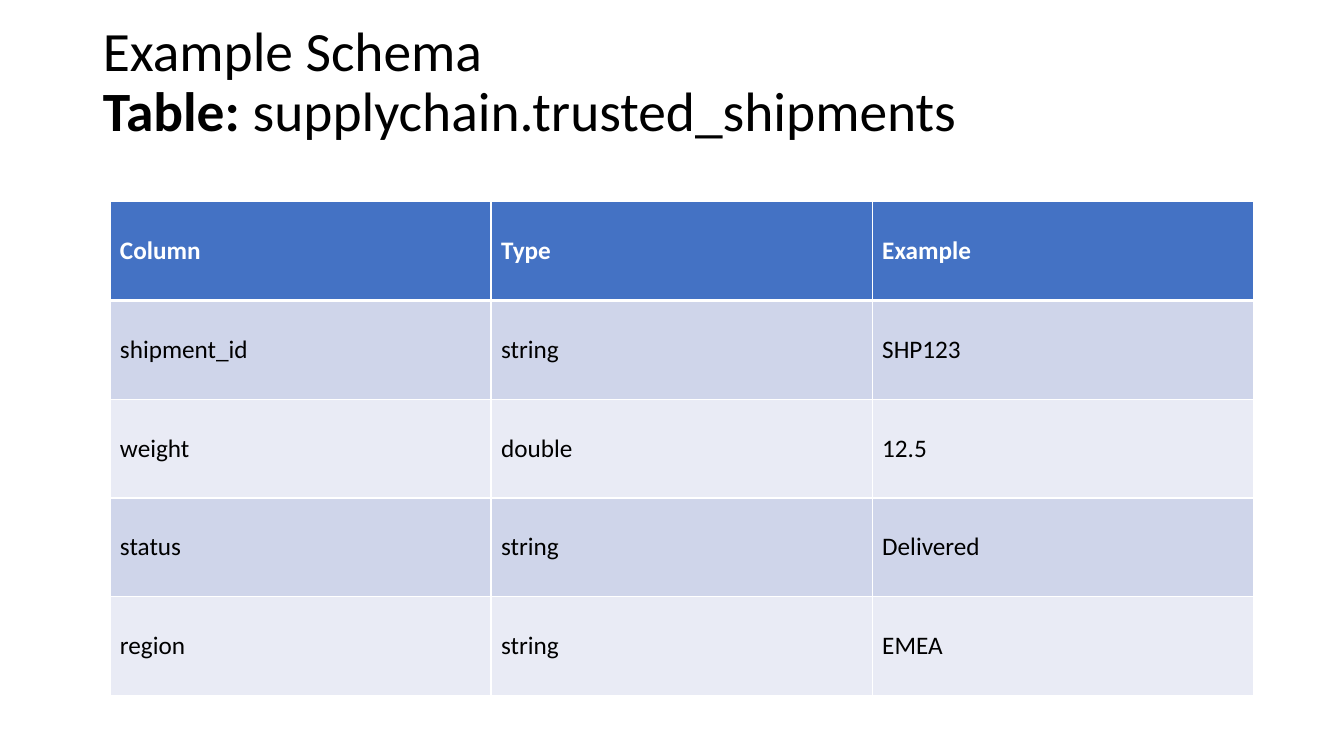
from lxml.etree import SubElement
from pptx import Presentation
from pptx.dml.color import RGBColor
from pptx.enum.text import MSO_ANCHOR, MSO_AUTO_SIZE, PP_ALIGN
from pptx.oxml.ns import qn
from pptx.util import Inches, Pt

FONT = "Calibri"
COLORS = {"head": "4472C4", "odd": "CFD5EA", "even": "E9EBF5",
          "text": "000000", "line": "FFFFFF"}
TITLE = [[("Example Schema", False)],
         [("Table: ", True), ("supplychain.trusted_shipments", False)]]
SCHEMA = [("Column", "Type", "Example"),
          ("shipment_id", "string", "SHP123"),
          ("weight", "double", "12.5"),
          ("status", "string", "Delivered"),
          ("region", "string", "EMEA")]
COL, ROW = Inches(3.78), Inches(0.98)


def color(name):
    return RGBColor.from_string(COLORS[name])


def style(font, size, name, bold):
    font.name, font.size, font.bold = FONT, Pt(size), bold
    font.color.rgb = color(name)


def place(shape, left, top, width, height):
    shape.left, shape.top = Inches(left), Inches(top)
    shape.width, shape.height = Inches(width), Inches(height)


def add_title(slide):
    title = slide.shapes.title
    place(title, 0.92, 0.4, 11.5, 1.45)
    frame = title.text_frame
    frame.word_wrap = True
    frame.auto_size = MSO_AUTO_SIZE.NONE
    frame.vertical_anchor = MSO_ANCHOR.MIDDLE
    frame.margin_top, frame.margin_bottom = 0, Inches(0.6)
    para = frame.paragraphs[0]
    para.alignment = PP_ALIGN.LEFT
    para.line_spacing = 0.9
    for index, line in enumerate(TITLE):
        if index:
            para.add_line_break()
        for text, bold in line:
            run = para.add_run()
            run.text = text
            style(run.font, 39.6, "text", bold)


def add_edges(cell, foot):
    """Draw the cell's borders, the lower one foot points wide."""
    props = cell._tc.get_or_add_tcPr()
    widths = {"lnL": 1, "lnR": 1, "lnT": 1, "lnB": foot}
    for index, (tag, width) in enumerate(widths.items()):
        line = SubElement(props, qn(f"a:{tag}"), w=str(Pt(width)))
        fill = SubElement(line, qn("a:solidFill"))
        SubElement(fill, qn("a:srgbClr"), val=COLORS["line"])
        props.insert(index, line)


def fill_cell(cell, text, fill, ink, head):
    cell.fill.solid()
    cell.fill.fore_color.rgb = color(fill)
    cell.vertical_anchor = MSO_ANCHOR.MIDDLE
    cell.text_frame.text = text
    style(cell.text_frame.paragraphs[0].runs[0].font, 18, ink, head)
    add_edges(cell, 3 if head else 1)


def add_grid(slide, rows):
    count, span = len(rows), len(rows[0])
    table = slide.shapes.add_table(count, span, Inches(1.09), Inches(2),
                                   COL * span, ROW * count).table
    for r, row in enumerate(rows):
        head = r == 0
        fill = "head" if head else "odd" if r % 2 else "even"
        for c, text in enumerate(row):
            fill_cell(table.cell(r, c), text, fill,
                      "line" if head else "text", head)


def main():
    deck = Presentation()
    deck.slide_width, deck.slide_height = Inches(13.33), Inches(7.5)
    slide = deck.slides.add_slide(deck.slide_layouts[5])
    add_title(slide)
    add_grid(slide, SCHEMA)
    deck.save("out.pptx")


if __name__ == "__main__":
    main()
